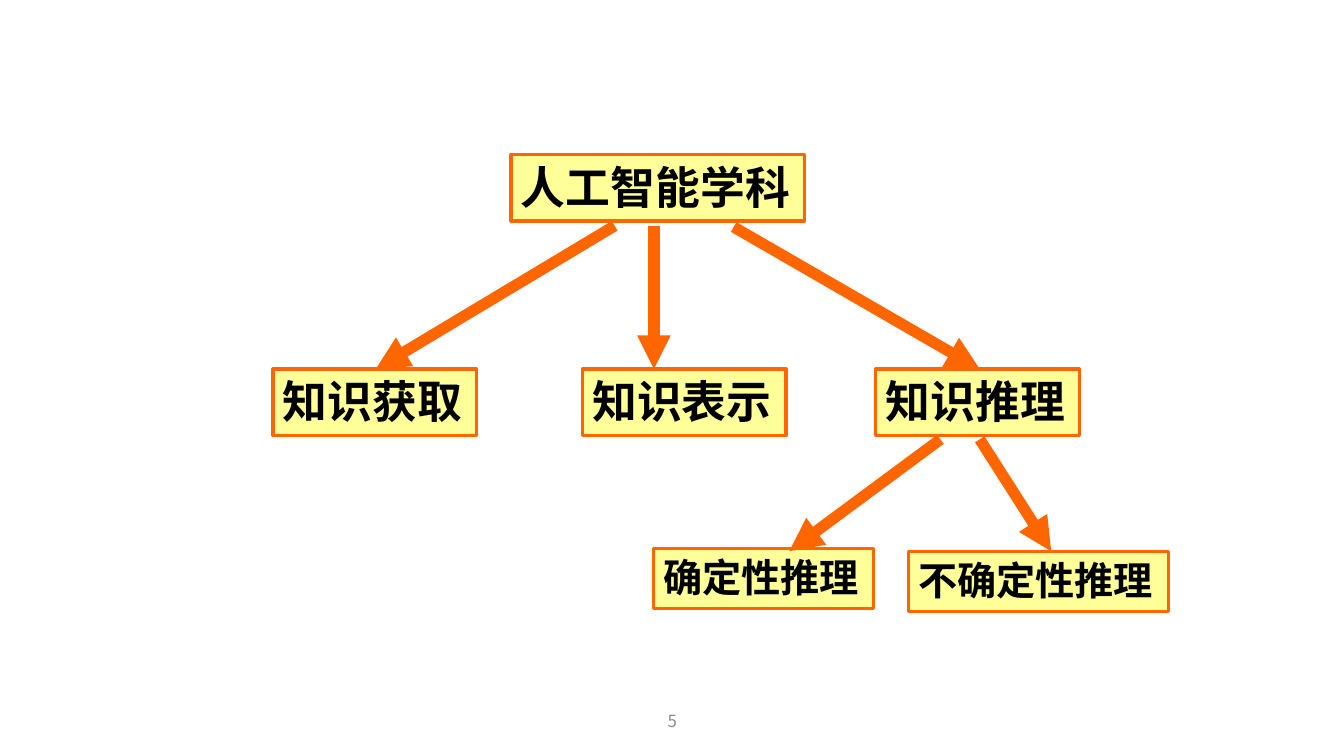
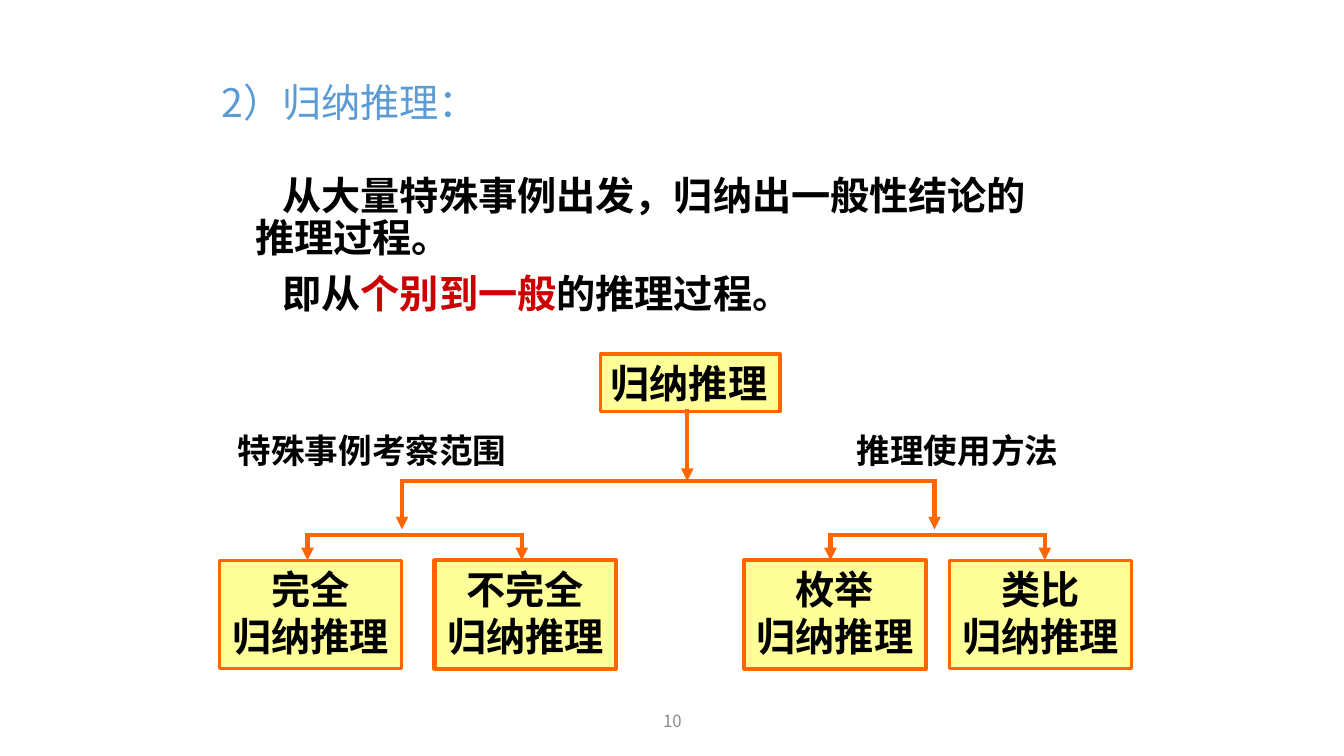
from dataclasses import dataclass

from lxml.etree import SubElement
from pptx import Presentation
from pptx.dml.color import RGBColor as Rgb
from pptx.enum.shapes import MSO_CONNECTOR as Link, MSO_SHAPE as Form
from pptx.enum.text import MSO_ANCHOR as Anchor, PP_ALIGN as Align
from pptx.oxml.ns import qn
from pptx.slide import Slide
from pptx.text.text import TextFrame
from pptx.util import Cm, Pt


@dataclass(frozen=True)
class Theme:
    ink: str = "000000"
    blue: str = "5B9BD5"
    red: str = "CC0000"
    gray: str = "8C8C8C"
    cream: str = "FFFF99"
    flame: str = "FF6600"
    sans: str = "Noto Sans CJK SC"
    arial: str = "Arial"
    large: int = 32
    main: int = 28
    label: int = 24
    small: int = 12
    edge: float = 2.25
    line: float = 3
    thick: float = 8


@dataclass(frozen=True)
class Area:
    left: float
    top: float
    width: float
    height: float

    def cm(self) -> tuple[Cm, Cm, Cm, Cm]:
        return Cm(self.left), Cm(self.top), Cm(self.width), Cm(self.height)


@dataclass(frozen=True)
class Node:
    text: str
    area: Area
    size: int
    edge: float


@dataclass(frozen=True)
class Arrow:
    x1: float
    y1: float
    x2: float
    y2: float


LOOK = Theme()
Part = tuple[str, str]


def write(frame: TextFrame, text: str | list[list[Part]], *, size: int,
          color: str = LOOK.ink, font: str = LOOK.sans, bold: bool = False,
          align: Align = Align.LEFT, anchor: Anchor = Anchor.TOP,
          wrap: bool = True, space: float | None = None, before: float = 0,
          margin: float = 0, indent: float = 0) -> None:
    frame.word_wrap = wrap
    frame.vertical_anchor = anchor
    rows = [[(row, color)] for row in text.split("\n")] if isinstance(text, str) else text
    for i, row in enumerate(rows):
        para = frame.add_paragraph() if i else frame.paragraphs[0]
        para.alignment = align
        para.line_spacing = space
        para.space_before = Pt(before)
        if margin or indent:
            props = para._p.get_or_add_pPr()
            props.set("marL", str(Cm(margin)))
            props.set("indent", str(Cm(indent)))
        for words, tint in row:
            run = para.add_run()
            run.text = words
            run.font.size = Pt(size)
            run.font.bold = bold
            run.font.name = font
            run.font.color.rgb = Rgb.from_string(tint)
            SubElement(run._r.get_or_add_rPr(), qn("a:ea"), typeface=LOOK.sans)


def label(slide: Slide, area: Area, text: str | list[list[Part]], **style) -> None:
    write(slide.shapes.add_textbox(*area.cm()).text_frame, text, **style)


def box(slide: Slide, node: Node, font: str, align: Align) -> None:
    shape = slide.shapes.add_shape(Form.RECTANGLE, *node.area.cm())
    shape.shadow.inherit = False
    shape.fill.solid()
    shape.fill.fore_color.rgb = Rgb.from_string(LOOK.cream)
    shape.line.color.rgb = Rgb.from_string(LOOK.flame)
    shape.line.width = Pt(node.edge)
    write(shape.text_frame, node.text, size=node.size, font=font, bold=True,
          align=align, wrap=False)


def draw(slide: Slide, arrow: Arrow, width: float, tip: bool = True) -> None:
    link = slide.shapes.add_connector(
        Link.STRAIGHT, Cm(arrow.x1), Cm(arrow.y1), Cm(arrow.x2), Cm(arrow.y2))
    link.line.color.rgb = Rgb.from_string(LOOK.flame)
    link.line.width = Pt(width)
    if tip:
        SubElement(link.line._get_or_add_ln(), qn("a:tailEnd"), type="triangle")
    else:
        link.line._get_or_add_ln().set("cap", "sq")
    SubElement(link._element.spPr, qn("a:effectLst"))


def fork(slide: Slide, left: float, right: float, top: float, end: float) -> None:
    draw(slide, Arrow(left, top, right, top), LOOK.line, tip=False)
    for x in (left, right):
        draw(slide, Arrow(x, top, x, end), LOOK.line)


def field_tree(slide: Slide) -> None:
    nodes = [Node("人工智能学科", Area(12.88, 3.89, 7.39, 1.68), LOOK.large, LOOK.edge)]
    nodes += [Node(text, Area(x, 9.3, 5.13, 1.68), LOOK.large, LOOK.edge)
              for text, x in (("知识获取", 6.88), ("知识表示", 14.68), ("知识推理", 22.07))]
    nodes += [
        Node("确定性推理", Area(16.46, 13.82, 5.56, 1.52), LOOK.main, LOOK.edge),
        Node("不确定性推理", Area(22.89, 13.89, 6.55, 1.52), LOOK.main, LOOK.edge),
    ]
    arrows = [
        Arrow(15.49, 5.69, 9.47, 9.3),
        Arrow(16.48, 5.69, 16.48, 9.3),
        Arrow(18.49, 5.72, 24.69, 9.3),
        Arrow(23.7, 11.07, 19.89, 13.89),
        Arrow(24.69, 11.07, 26.49, 13.89),
    ]
    for node in nodes:
        box(slide, node, LOOK.arial, Align.LEFT)
    for arrow in arrows:
        draw(slide, arrow, LOOK.thick)


def logic_tree(slide: Slide) -> None:
    label(slide, Area(5.33, 1.73, 22.86, 1.8), "2）归纳推理：", size=LOOK.main,
          color=LOOK.blue, anchor=Anchor.MIDDLE, space=0.9)
    body = [
        [("从大量特殊事例出发，归纳出一般性结论的推理过程。", LOOK.ink)],
        [("即从", LOOK.ink), ("个别到一般", LOOK.red), ("的推理过程。", LOOK.ink)],
    ]
    label(slide, Area(5.54, 4.32, 21.5, 4.3), body, size=LOOK.main, bold=True,
          space=0.9, before=10, margin=0.64, indent=0.69)
    box(slide, Node("归纳推理", Area(15.14, 8.92, 4.52, 1.45), LOOK.main, LOOK.edge),
        LOOK.sans, Align.LEFT)
    leaves = (("完全", 5.54, LOOK.edge), ("不完全", 10.95, LOOK.line),
              ("枚举", 18.75, LOOK.line), ("类比", 23.93, LOOK.edge))
    for kind, x, edge in leaves:
        box(slide, Node(f"{kind}\n归纳推理", Area(x, 14.12, 4.58, 2.73), LOOK.main, edge),
            LOOK.sans, Align.CENTER)
    draw(slide, Arrow(17.32, 10.31, 17.32, 12.12), LOOK.line)
    fork(slide, 10.13, 23.55, 12.12, 13.34)
    for left in (7.75, 20.93):
        fork(slide, left, left + 5.4, 13.49, 14.12)
    for text, x, width in (("特殊事例考察范围", 5.74, 7.32), ("推理使用方法", 21.34, 5.61)):
        label(slide, Area(x, 10.72, width, 1.27), text, size=LOOK.label,
              bold=True, wrap=False)


def main() -> None:
    deck = Presentation()
    deck.slide_width, deck.slide_height = Cm(33.87), Cm(19.05)
    for build, number in ((field_tree, "5"), (logic_tree, "10")):
        slide = deck.slides.add_slide(deck.slide_layouts[6])
        label(slide, Area(11.23, 17.65, 11.43, 1.02), number, size=LOOK.small,
              color=LOOK.gray, align=Align.CENTER, anchor=Anchor.MIDDLE)
        build(slide)
    deck.save("out.pptx")


if __name__ == "__main__":
    main()
